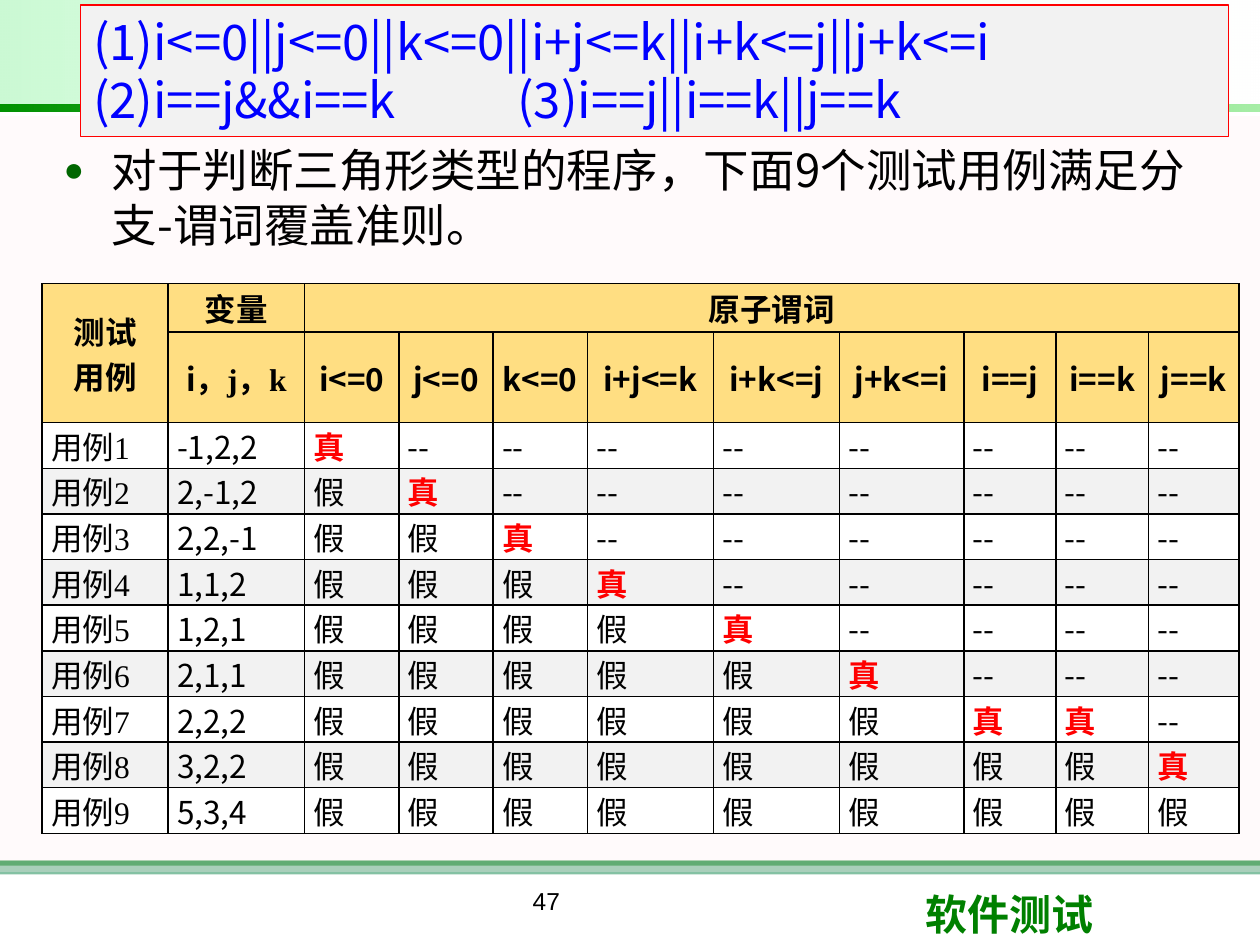
from lxml import etree
from pptx import Presentation
from pptx import util as u
from pptx.dml.color import RGBColor
from pptx.enum import shapes, text
from pptx.oxml.ns import qn

SANS, SERIF = "Noto Sans CJK SC", "Times New Roman"
AL = text.PP_ALIGN


def rgb(c):
    return RGBColor.from_string(c)


def sub(parent, tag, **attrs):
    return etree.SubElement(parent, qn(tag), attrs)


def set_alpha(props, tag, *percents):
    colors = props.find(qn(tag)).iter(qn("a:srgbClr"))
    for color, pct in zip(colors, percents):
        sub(color, "a:alpha", val=str(pct * 1000))


def style(p, size, font, color, bold=False, align=AL.LEFT):
    p.alignment = align
    for r in p.runs:
        f = r.font
        f.size, f.name, f.bold = u.Pt(size), font, bold
        f.color.rgb = rgb(color)
        ea = SANS if font == SERIF else font
        sub(r._r.get_or_add_rPr(), "a:ea", typeface=ea)


def rect(s, x, y, w, h, color=None):
    sp = s.shapes.add_shape(shapes.MSO_SHAPE.RECTANGLE,
                            u.Cm(x), u.Cm(y), u.Cm(w), u.Cm(h))
    sp.shadow.inherit = False
    sp.line.fill.background()
    if color:
        sp.fill.solid()
        sp.fill.fore_color.rgb = rgb(color)
    return sp


def gradient_band(s, x, y, w, h, colors, alphas):
    sp = rect(s, x, y, w, h)
    sp.rotation = 180
    sp.fill.gradient()
    sp.fill.gradient_angle = 0
    for stop, color in zip(sp.fill.gradient_stops, colors):
        stop.color.rgb = rgb(color)
    set_alpha(sp._element.spPr, "a:gradFill", *alphas)


def backdrop(s, x, y, w):
    rect(s, x, y + 17.35, w, 0.1, "008000")
    for dy, h, color, pct in ((17.35, 0.28, "339966", 60),
                              (2.34, 15.24, "FFF0F5", 30)):
        sp = rect(s, x, y + dy, w, h, color)
        set_alpha(sp._element.spPr, "a:solidFill", pct)
    gradient_band(s, x, y, w, 2.11, ("FFFFFF", "09E733"), (10, 21))
    gradient_band(s, x, y + 2.11, w, 0.13, ("00CC00", "009200"), (35, 100))


def label(s, x, y, w, h, words, size, color, bold, align):
    sp = s.shapes.add_textbox(u.Cm(x), u.Cm(y), u.Cm(w), u.Cm(h))
    tf = sp.text_frame
    tf.word_wrap = True
    tf.text = words
    style(tf.paragraphs[0], size, "Arial", color, bold, align)


def footer(s, x, y):
    label(s, x + 18.4, y + 0.05, 6.02, 1.27, "软件测试", 24, "008000", True, AL.LEFT)
    label(s, x + 6.99, y, 8.05, 1.32, "47", 14, "000000", False, AL.CENTER)


def body_text(s, x, y, w, h):
    sp = s.placeholders[1]
    sp.left, sp.top, sp.width, sp.height = map(u.Cm, (x, y, w, h))
    s.shapes.element.append(sp.element)
    tf = sp.text_frame
    tf.text = "对于判断三角形类型的程序，下面9个测试用例满足分支-谓词覆盖准则。"
    p = tf.paragraphs[0]
    p.space_before, p.space_after = u.Pt(0), u.Pt(6)
    pPr = p._p.get_or_add_pPr()
    pPr.set("marL", str(u.Cm(0.99)))
    pPr.set("indent", str(u.Cm(-0.97)))
    sub(sub(pPr, "a:buClr"), "a:srgbClr", val="006600")
    sub(pPr, "a:buSzPct", val="75000")
    sub(pPr, "a:buFont", typeface="Arial")
    sub(pPr, "a:buChar", char="●")
    style(p, 26, SANS, "000000")


def predicate_box(s, x, y, w, h):
    sp = rect(s, x, y, w, h, "F2F2F2")
    sp.line.color.rgb = rgb("FF0000")
    sp.line.width = u.Pt(0.75)
    tf = sp.text_frame
    tf.word_wrap = True
    tf.vertical_anchor = text.MSO_ANCHOR.TOP
    tf.text = ("(1)i<=0||j<=0||k<=0||i+j<=k||i+k<=j||j+k<=i\n"
               "(2)i==j&&i==k\t(3)i==j||i==k||j==k")
    for p in tf.paragraphs:
        tabs = sub(p._p.get_or_add_pPr(), "a:tabLst")
        sub(tabs, "a:tab", pos=str(u.Cm(8.55)), algn="l")
        style(p, 28, SANS, "0000FF")


def format_cell(cell, color, inset):
    cell.margin_left = cell.margin_right = u.Cm(inset)
    cell.margin_top = cell.margin_bottom = 0
    tcPr = cell._tc.get_or_add_tcPr()
    for side in "LRTB":
        ln = sub(tcPr, "a:ln" + side, w=str(u.Pt(1)))
        sub(sub(ln, "a:solidFill"), "a:srgbClr", val="000000")
    cell.fill.solid()
    cell.fill.fore_color.rgb = rgb(color)


def header_cell(cell, words, font, inset):
    format_cell(cell, "FFC000", inset)
    set_alpha(cell._tc.tcPr, "a:solidFill", 48)
    cell.vertical_anchor = text.MSO_ANCHOR.MIDDLE
    cell.text_frame.text = words
    for p in cell.text_frame.paragraphs:
        style(p, 18, font, "000000", True, AL.CENTER)


def case_table(s, x, y):
    predicates = ["i<=0", "j<=0", "k<=0", "i+j<=k", "i+k<=j", "j+k<=i",
                  "i==j", "i==k", "j==k"]
    cases = [("-1,2,2", [0]), ("2,-1,2", [1]), ("2,2,-1", [2]),
             ("1,1,2", [3]), ("1,2,1", [4]), ("2,1,1", [5]),
             ("2,2,2", [6, 7]), ("3,2,2", [8]), ("5,3,4", [])]
    widths = [2.54, 2.75] + [1.9] * 3 + [2.54] * 2 + [2.51] + [1.86] * 2 + [1.83]
    heights = [0.97, 1.83] + [0.92] * len(cases)
    t = s.shapes.add_table(len(heights), len(widths), u.Cm(x), u.Cm(y),
                           u.Cm(sum(widths)), u.Cm(sum(heights))).table
    for col, w in zip(t.columns, widths):
        col.width = u.Cm(w)
    for row, h in zip(t.rows, heights):
        row.height = u.Cm(h)

    top = ["测试\n用例", "变量", "原子谓词"] + [""] * 8
    for j, words in enumerate(top):
        header_cell(t.cell(0, j), words, SERIF, 0.18)
    for j, words in enumerate(["", "i"] + predicates):
        header_cell(t.cell(1, j), words, SANS, 0)
    p = t.cell(1, 1).text_frame.paragraphs[0]
    p.add_run().text = "，j，k"
    style(p, 18, SERIF, "000000", True, AL.CENTER)
    p.runs[0].font.name = SANS
    t.cell(0, 0).merge(t.cell(1, 0))
    t.cell(0, 2).merge(t.cell(0, 10))

    for n, (values, true_at) in enumerate(cases, 1):
        row = [f"用例{n}", values]
        for j in range(len(predicates)):
            decided = true_at and j > true_at[0]
            row.append("真" if j in true_at else "--" if decided else "假")
        for j, words in enumerate(row):
            cell = t.cell(n + 1, j)
            format_cell(cell, "FFFFFF" if n % 2 else "F2F2F2", 0.18)
            cell.text_frame.text = words
            hit = words == "真"
            font = SANS if j == 1 or words == "--" else SERIF
            style(cell.text_frame.paragraphs[0], 18, font,
                  "FF0000" if hit else "000000", hit, AL.JUSTIFY)


def main():
    prs = Presentation()
    prs.slide_width, prs.slide_height = u.Cm(25.4), u.Cm(19.05)
    s = prs.slides.add_slide(prs.slide_layouts[1])
    title = s.shapes.title.element
    title.getparent().remove(title)
    backdrop(s, 0, 0, 25.4)
    body_text(s, 1.01, 2.74, 23.77, 14.17)
    footer(s, 0, 17.73)
    case_table(s, 0.85, 5.72)
    predicate_box(s, 1.63, 0.1, 23.14, 2.65)
    prs.save("out.pptx")


if __name__ == "__main__":
    main()
